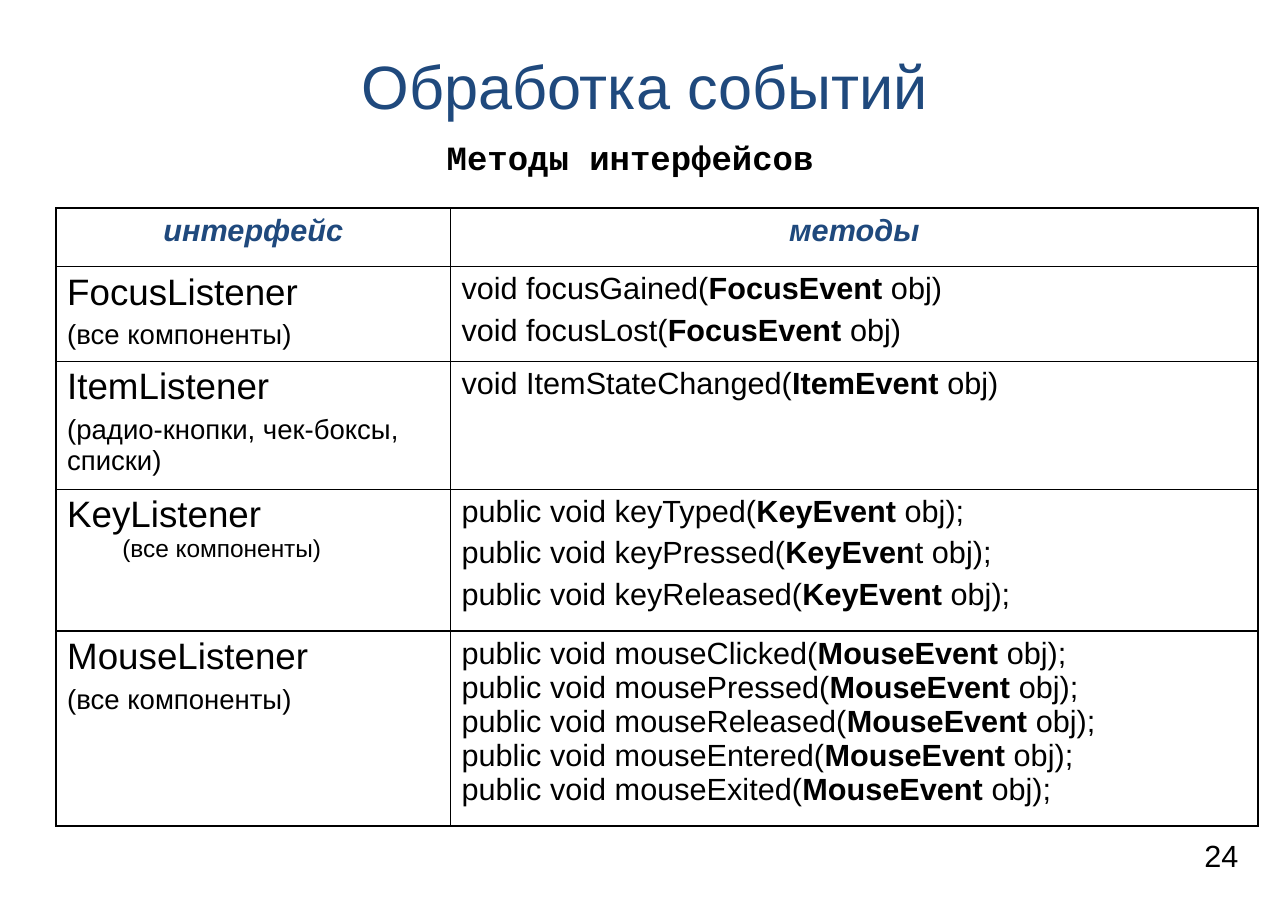
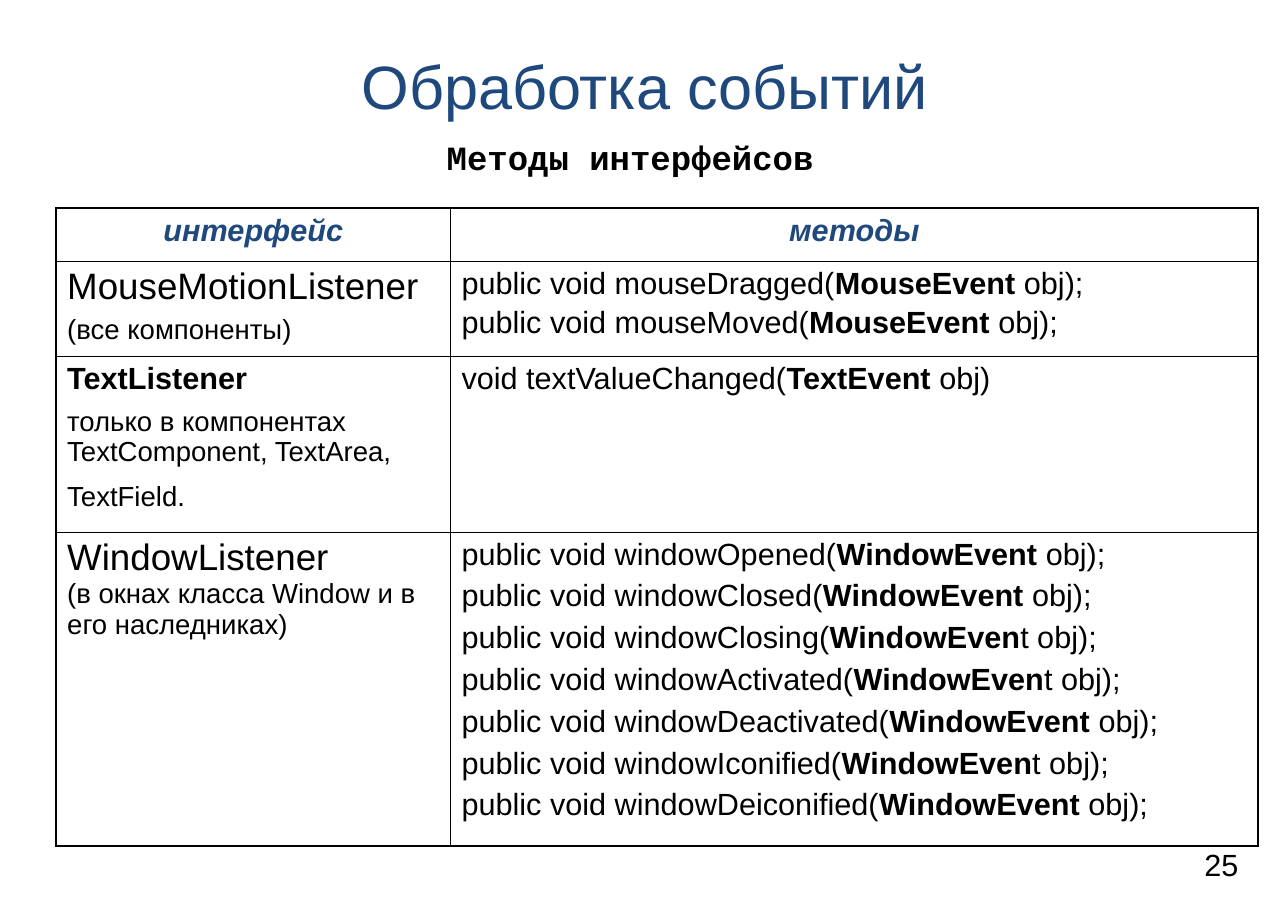
from dataclasses import dataclass
from itertools import product
from lxml.etree import SubElement
from pptx import Presentation
from pptx.dml.color import RGBColor
from pptx.enum.text import MSO_ANCHOR, MSO_AUTO_SIZE, PP_ALIGN
from pptx.oxml import parse_xml
from pptx.oxml.ns import nsdecls, qn
from pptx.util import Inches, Pt


@dataclass(frozen=True)
class Theme:
    """Colours, fonts, type sizes and line weights of the deck."""
    ink: str = "000000"
    blue: str = "1F497D"
    sans: str = "Arial"
    mono: str = "Courier New"
    title: float = 40
    sub: float = 22.2
    name: float = 24
    text: float = 20
    note: float = 18
    small: float = 16
    thick: float = 1.08
    thin: float = 0.45


THEME = Theme()


@dataclass
class Line:
    """One paragraph; stars enclose bold words, tail sizes a closing space."""
    text: str
    size: float = THEME.text
    gap: float = 0
    level: int = 0
    tail: float = 0


@dataclass
class Row:
    """One table row: height, both cells and the weight of the rule above."""
    high: float
    left: list
    right: list
    rule: float = THEME.thin


def entry(name, note, gap=4.5, size=THEME.note, level=0):
    """Return the lines of a listener and its note."""
    return [Line(name, THEME.name), Line(note, size, gap, level)]


def calls(event, *names, lead="public void ", end=" obj);", gap=5, odd=()):
    """Return a signature per method; odd ones leave the last letter plain."""
    def sign(name):
        bold = f"*{event[:-1]}*{event[-1]}" if name in odd else f"*{event}*"
        return Line(f"{lead}{name}({bold}{end}", gap=gap)
    return [sign(name) for name in names]


class Deck:
    """Draws slide elements; lengths are percent of the slide's size."""

    def __init__(self, theme, width, height):
        """Start an empty deck of the given size."""
        self.theme = theme
        self.file = Presentation()
        self.file.slide_width = Inches(width)
        self.file.slide_height = Inches(height)
        self.slide = None

    def across(self, part):
        """Turn a share of the width into a length."""
        return int(self.file.slide_width * part / 100)

    def down(self, part):
        """Turn a share of the height into a length."""
        return int(self.file.slide_height * part / 100)

    def place(self, shape, left, top, width, height):
        """Move and size a shape."""
        shape.left, shape.top = self.across(left), self.down(top)
        shape.width, shape.height = self.across(width), self.down(height)

    def style(self, font, size, color=None, face=None, bold=False, slant=False):
        """Format a font."""
        font.name, font.size = face or self.theme.sans, Pt(size)
        font.bold, font.italic = bold, slant
        font.color.rgb = RGBColor.from_string(color or self.theme.ink)

    def frame(self, shape, x=0.94, y=0.72):
        """Set the margins of a shape's text and return its frame."""
        frame = shape.text_frame
        frame.word_wrap, frame.auto_size = True, MSO_AUTO_SIZE.NONE
        frame.margin_left = frame.margin_right = self.across(x)
        frame.margin_top = frame.margin_bottom = self.down(y)
        return frame

    def head(self, title, sub):
        """Add a slide with its title and subtitle."""
        self.slide = self.file.slides.add_slide(self.file.slide_layouts[1])
        top, body = self.slide.placeholders
        self.place(top, 5.05, 3.99, 90, 10.75)
        frame = self.frame(top)
        frame.vertical_anchor = MSO_ANCHOR.MIDDLE
        frame.text = title
        para = frame.paragraphs[0]
        para.alignment = PP_ALIGN.CENTER
        self.style(para.runs[0].font, self.theme.title, self.theme.blue)
        self.place(body, 10.78, 14.73, 76.3, 6.04)
        frame = self.frame(body)
        frame.text = sub
        para = frame.paragraphs[0]
        para.alignment = PP_ALIGN.CENTER
        para.line_spacing, para.space_before = 0.9, Pt(0)
        props = para._p.get_or_add_pPr()
        props.set("marL", "0")
        props.set("indent", "0")
        SubElement(props, qn("a:buNone"))
        self.style(para.runs[0].font, self.theme.sub, face=self.theme.mono, bold=True)

    def page(self, number, top):
        """Add the page number."""
        box = self.slide.shapes.add_textbox(0, 0, 0, 0)
        self.place(box, 93.5, top, 3.08, 4.11)
        frame = self.frame(box, 0, 0)
        frame.text = str(number)
        self.style(frame.paragraphs[0].runs[0].font, self.theme.text)

    def fill(self, cell, lines, head=False):
        """Write lines into a cell."""
        frame = cell.text_frame
        for at, line in enumerate(lines):
            para = frame.add_paragraph() if at else frame.paragraphs[0]
            if line.level:
                para.level = line.level
                para._p.get_or_add_pPr().set("marL", str(Inches(0.5) * line.level))
            if head:
                para.alignment = PP_ALIGN.CENTER
            para.space_before = Pt(line.gap)
            for spot, part in enumerate(line.text.split("*")):
                run = para.add_run()
                run.text = part
                self.style(run.font, line.size, self.theme.blue if head else None,
                           bold=head or spot % 2 == 1, slant=head)
            if line.tail:
                run = para.add_run()
                run.text = " "
                self.style(run.font, line.tail)

    def edge(self, cell, *sides):
        """Draw the left, right, top and bottom borders of a cell."""
        cell.fill.background()
        props = cell._tc.get_or_add_tcPr()
        for at, (side, weight) in enumerate(zip("LRTB", sides)):
            props.insert(at, parse_xml(
                f'<a:ln{side} {nsdecls("a")} w="{int(Pt(weight))}"><a:solidFill>'
                f'<a:srgbClr val="{self.theme.ink}"/></a:solidFill></a:ln{side}>'))

    def table(self, rows):
        """Add the two-column table under its heading row."""
        cols = 30.62, 62.7
        thick, thin = self.theme.thick, self.theme.thin
        shape = self.slide.shapes.add_table(
            len(rows), len(cols), self.across(4.36), self.down(22.83),
            self.across(sum(cols)), self.down(sum(row.high for row in rows)))
        grid = shape.table
        grid.first_row = grid.horz_banding = False
        for col, wide in zip(grid.columns, cols):
            col.width = self.across(wide)
        for line, row in zip(grid.rows, rows):
            line.height = self.down(row.high)
        rules = [thick, *(row.rule for row in rows[1:]), thick]
        walls = thick, thin, thick
        for y, x in product(range(len(rows)), range(len(cols))):
            cell = grid.cell(y, x)
            self.fill(cell, (rows[y].left, rows[y].right)[x], head=y == 0)
            self.edge(cell, walls[x], walls[x + 1], rules[y], rules[y + 1])


def main():
    """Build both slides and save them."""
    deck = Deck(THEME, 11.69, 8.28)
    every = "(все компоненты)"
    plain = {"lead": "void ", "end": " obj)"}

    moves = calls("MouseEvent", "mouseDragged", "mouseMoved", gap=0)
    moves[-1].tail = THEME.name
    first = [
        Row(10.39, entry("FocusListener", every),
            calls("FocusEvent", "focusGained", "focusLost", **plain)),
        Row(14.01, entry("ItemListener", "(радио-кнопки, чек-боксы, списки)"),
            calls("ItemEvent", "ItemStateChanged", **plain)),
        Row(15.58, entry("KeyListener", every, 0, THEME.small, 1),
            calls("KeyEvent", "keyTyped", "keyPressed", "keyReleased",
                  odd=["keyPressed"])),
        Row(21.38, entry("MouseListener", every),
            calls("MouseEvent", "mouseClicked", "mousePressed", "mouseReleased",
                  "mouseEntered", "mouseExited", gap=0), THEME.thick),
    ]
    second = [
        Row(10.39, entry("MouseMotionListener", every), moves),
        Row(19.32, [Line("*TextListener*"),
                    Line("только в компонентах TextComponent, TextArea, TextField.",
                         THEME.note, 7, tail=28)],
            calls("TextEvent", "textValueChanged", **plain)),
        Row(34.42, entry("WindowListener",
                         "(в окнах класса Window и в его наследниках)", 0),
            calls("WindowEvent", "windowOpened", "windowClosed", "windowClosing",
                  "windowActivated", "windowDeactivated", "windowIconified",
                  "windowDeiconified",
                  odd=["windowClosing", "windowActivated", "windowIconified"])),
    ]
    pages = (24, 91.79, 6.4, first), (25, 92.75, 5.8, second)
    for number, top, high, rows in pages:
        deck.head("Обработка событий", "Методы интерфейсов")
        deck.table([Row(high, [Line("интерфейс")], [Line("методы")]), *rows])
        deck.page(number, top)
    deck.file.save("out.pptx")


if __name__ == "__main__":
    main()
